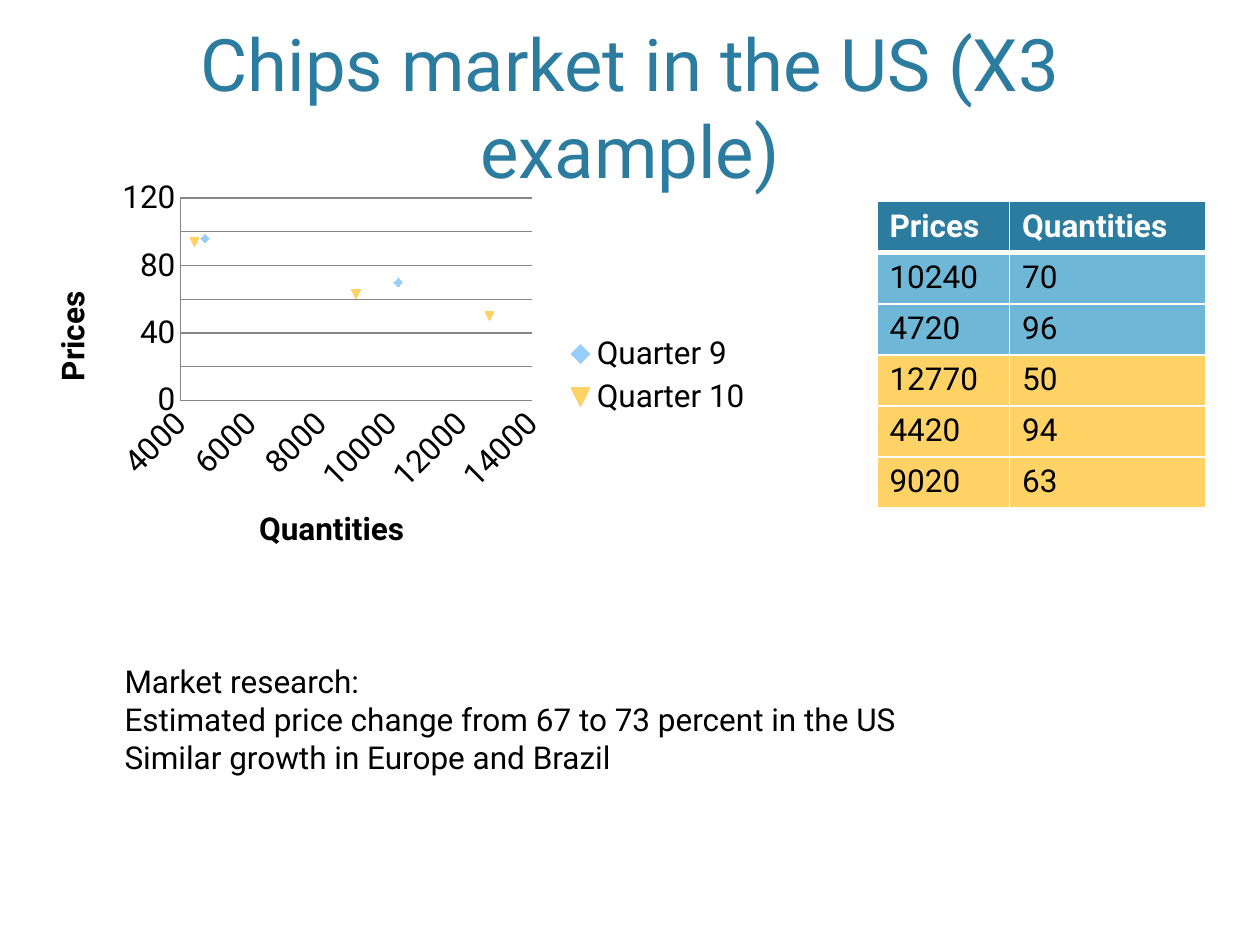
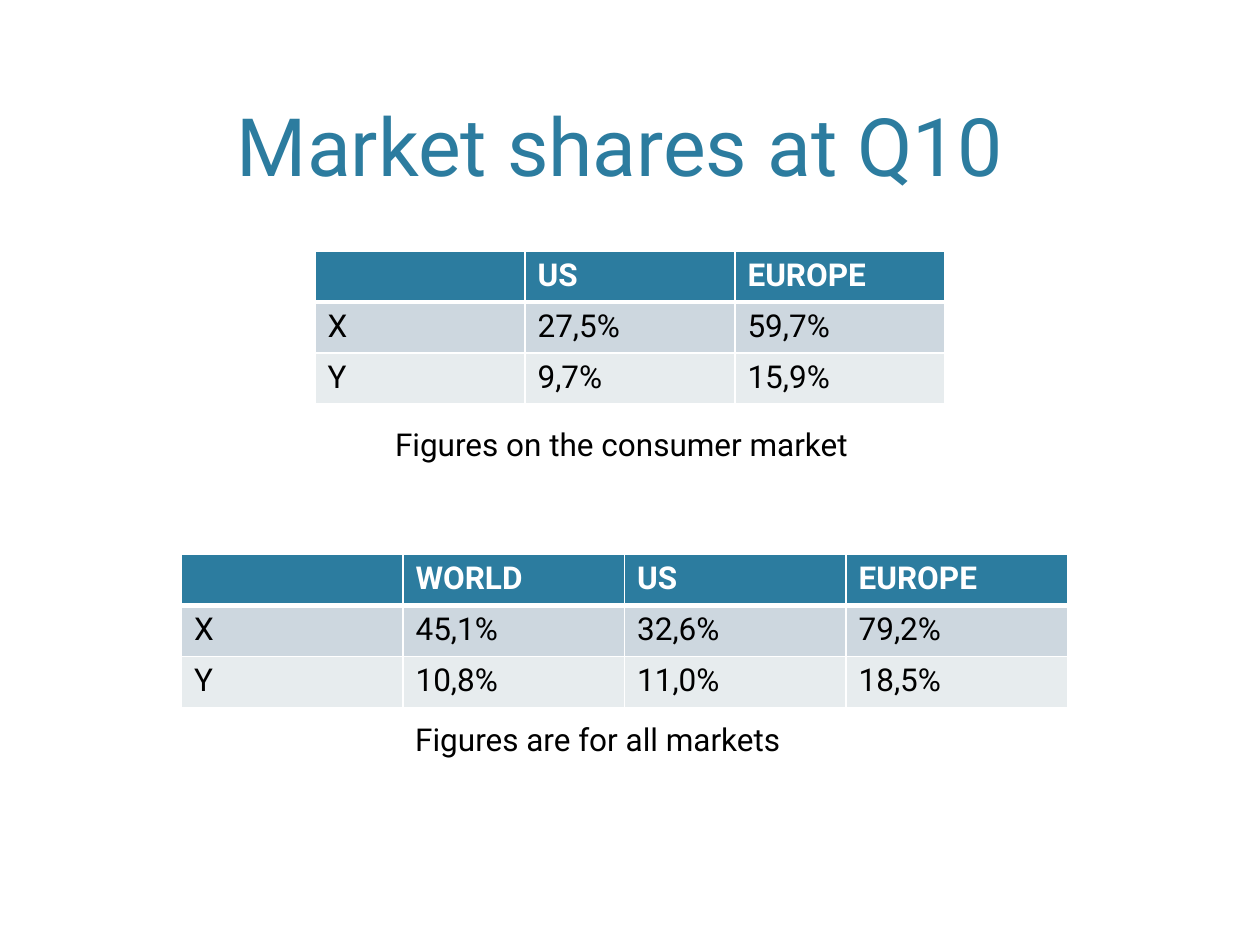
from dataclasses import dataclass

from lxml.etree import SubElement
from pptx import Presentation
from pptx.chart.data import XyChartData
from pptx.dml.color import RGBColor
from pptx.enum.chart import XL_CHART_TYPE, XL_LEGEND_POSITION, XL_MARKER_STYLE, XL_TICK_MARK
from pptx.enum.text import MSO_ANCHOR, MSO_AUTO_SIZE, PP_ALIGN
from pptx.oxml import parse_xml
from pptx.oxml.ns import nsdecls, qn
from pptx.util import Pt


@dataclass(frozen=True)
class Theme:
    font: str = "Roboto"
    accent: str = "2C7C9F"
    sky: str = "6FB7D7"
    marker_blue: str = "99CCFF"
    yellow: str = "FFD266"
    band_dark: str = "CDD7DF"
    band_light: str = "E7ECEE"
    ink: str = "000000"
    white: str = "FFFFFF"
    grid: str = "868686"
    body_size: float = 18
    title_size: float = 46
    long_title_size: float = 41.4


@dataclass(frozen=True)
class Box:
    left: float
    top: float
    width: float
    height: float

    def lengths(self):
        return Pt(self.left), Pt(self.top), Pt(self.width), Pt(self.height)


THEME = Theme()
TITLE_BOX = Box(43.2, 8.64, 633.6, 105.12)
ROW_HEIGHT = 29.2


def style_font(font, size=THEME.body_size, color=THEME.ink, bold=False):
    font.name = THEME.font
    font.size = Pt(size)
    font.bold = bold
    font.color.rgb = RGBColor.from_string(color)


def style_runs(text_frame, **style):
    for paragraph in text_frame.paragraphs:
        for span in paragraph.runs:
            style_font(span.font, **style)


def style_line(line):
    line.color.rgb = RGBColor.from_string(THEME.grid)
    line.width = Pt(0.75)


def add_page(deck, title, size):
    page = deck.slides.add_slide(deck.slide_layouts[5])
    heading = page.shapes.title
    heading.left, heading.top, heading.width, heading.height = TITLE_BOX.lengths()
    frame = heading.text_frame
    frame.text = title
    frame.auto_size = MSO_AUTO_SIZE.NONE
    frame.vertical_anchor = MSO_ANCHOR.BOTTOM
    frame.paragraphs[0].alignment = PP_ALIGN.CENTER
    style_runs(frame, size=size, color=THEME.accent)
    return page


def add_note(page, box, text):
    frame = page.shapes.add_textbox(*box.lengths()).text_frame
    frame.word_wrap = True
    frame.text = text
    style_runs(frame)


def set_borders(cell, bottom):
    properties = cell._tc.get_or_add_tcPr()
    for index, (side, width) in enumerate((("L", 1), ("R", 1), ("T", 1), ("B", bottom))):
        line = parse_xml(
            f'<a:ln{side} {nsdecls("a")} w="{Pt(width)}"><a:solidFill>'
            f'<a:srgbClr val="{THEME.white}"/></a:solidFill></a:ln{side}>'
        )
        properties.insert(index, line)


def add_grid(page, box, rows, fills, column_widths):
    table = page.shapes.add_table(len(rows), len(column_widths), *box.lengths()).table
    for column, width in zip(table.columns, column_widths):
        column.width = Pt(width)
    for row_index, (row, fill) in enumerate(zip(rows, [THEME.accent, *fills])):
        header = row_index == 0
        table.rows[row_index].height = Pt(ROW_HEIGHT)
        for column_index, text in enumerate(row):
            cell = table.cell(row_index, column_index)
            cell.text = text
            cell.fill.solid()
            cell.fill.fore_color.rgb = RGBColor.from_string(fill)
            style_runs(cell.text_frame, color=THEME.white if header else THEME.ink, bold=header)
            set_borders(cell, bottom=3 if header else 1)


def place_in_chart(element, index, **percents):
    layout = element.find(qn("c:layout"))
    if layout is None:
        layout = parse_xml(f'<c:layout {nsdecls("c")}/>')
        element.insert(index, layout)
    manual = SubElement(layout, qn("c:manualLayout"))
    settings = {"layoutTarget": "inner"} if "w" in percents else {}
    settings.update(xMode="edge", yMode="edge")
    settings.update({name: f"{percent / 100:.4f}" for name, percent in percents.items()})
    for name, value in settings.items():
        SubElement(manual, qn(f"c:{name}")).set("val", value)


def style_axis(axis, title, limits, unit, title_place):
    axis.minimum_scale, axis.maximum_scale = limits
    axis.major_unit = unit
    axis.major_tick_mark = axis.minor_tick_mark = XL_TICK_MARK.NONE
    style_line(axis.format.line)
    style_font(axis.tick_labels.font)
    frame = axis.axis_title.text_frame
    frame.text = title
    style_runs(frame, bold=True)
    place_in_chart(axis.axis_title._element, 1, **title_place)


def price_data():
    quantities = (10200, 4700, 12800, 4400, 9000)
    quarters = (
        ("Quarter 9", (70, 96, None, None, None)),
        ("Quarter 10 ", (None, None, 50, 94, 63)),
    )
    data = XyChartData()
    for name, prices in quarters:
        series = data.add_series(name)
        for quantity, price in zip(quantities, prices):
            series.add_data_point(quantity, price)
    return data


def drop_empty_points(series):
    for point in list(series._element.iter(qn("c:pt"))):
        if point.find(qn("c:v")).text in (None, "", "None"):
            point.getparent().remove(point)


def style_series(series, position, shape, color):
    for tag in ("c:idx", "c:order"):
        series._element.find(qn(tag)).set("val", str(position))
    series.smooth = False
    series.format.line.fill.background()
    marker = series.marker
    marker.style = shape
    marker.size = 5
    marker.format.fill.solid()
    marker.format.fill.fore_color.rgb = RGBColor.from_string(color)
    marker.format.line.fill.background()


def add_price_chart(page, box):
    chart = page.shapes.add_chart(XL_CHART_TYPE.XY_SCATTER, *box.lengths(), price_data()).chart
    chart.has_title = False
    style_font(chart.font)
    plot = chart.plots[0]
    plot.vary_by_categories = False

    markers = (
        (XL_MARKER_STYLE.DIAMOND, THEME.marker_blue),
        (XL_MARKER_STYLE.AUTOMATIC, THEME.yellow),
    )
    for position, (series, (shape, color)) in enumerate(zip(plot.series, markers), 1):
        drop_empty_points(series)
        style_series(series, position, shape, color)

    quantities, prices = chart.category_axis, chart.value_axis
    style_axis(quantities, "Quantities", (4000, 14000), 2000, {"x": 30.6, "y": 81.3})
    style_axis(prices, "Prices", (0, 120), 20, {"x": 2.95, "y": 28.1})
    quantities.has_major_gridlines = False
    quantities._element.find(qn("c:txPr")).find(qn("a:bodyPr")).set("rot", "-2700000")
    prices.axis_title.text_frame._txBody.find(qn("a:bodyPr")).set("rot", "-5400000")
    style_line(prices.major_gridlines.format.line)

    chart.has_legend = True
    chart.legend.position = XL_LEGEND_POSITION.RIGHT
    chart.legend.include_in_layout = False
    style_font(chart.legend.font)
    place_in_chart(chart.legend._element, 1, x=71.6, y=38.75)
    plot_area = chart._chartSpace.find(qn("c:chart")).find(qn("c:plotArea"))
    place_in_chart(plot_area, 0, x=20.87, y=6.6, w=46.88, h=49.7)


def build_chips_page(deck):
    page = add_page(deck, "Chips market in the US (X3 example)", THEME.long_title_size)
    add_price_chart(page, Box(13.68, 97.92, 428.4, 232.56))
    rows = (
        ("Prices", "Quantities"),
        ("10240", "70"),
        ("4720", "96"),
        ("12770", "50"),
        ("4420", "94"),
        ("9020", "63"),
    )
    fills = [THEME.sky] * 2 + [THEME.yellow] * 3
    add_grid(page, Box(501.12, 115.2, 187.9, len(rows) * ROW_HEIGHT), rows, fills, (75.8, 112.1))
    add_note(
        page,
        Box(64.08, 374.7, 509.04, 94.32),
        "Market research:\n"
        "Estimated price change from 67 to 73 percent in the US\n"
        "Similar growth in Europe and Brazil",
    )


def add_share_table(page, box, rows, caption, caption_box):
    widths = [box.width / len(rows[0])] * len(rows[0])
    add_grid(page, box, rows, (THEME.band_dark, THEME.band_light), widths)
    add_note(page, caption_box, caption)


def build_shares_page(deck):
    page = add_page(deck, "Market shares at Q10 ", THEME.title_size)
    all_markets = (
        ("", "WORLD", "US", "EUROPE"),
        ("X", "45,1%", "32,6%", "79,2%"),
        ("Y", "10,8%", "11,0%", "18,5%"),
    )
    consumer_market = (
        ("", "US", "EUROPE"),
        ("X", "27,5%", "59,7%"),
        ("Y", "9,7%", "15,9%"),
    )
    table_height = 3 * ROW_HEIGHT
    add_share_table(
        page, Box(103.68, 316.7, 506.4, table_height), all_markets,
        "Figures are for all markets", Box(230.2, 407.9, 276.48, 28.8),
    )
    add_share_table(
        page, Box(180, 143.28, 360, table_height), consumer_market,
        "Figures on the consumer market", Box(218.7, 239.4, 276.48, 28.8),
    )


def main():
    deck = Presentation()
    deck.slide_width, deck.slide_height = Pt(720), Pt(540)
    build_chips_page(deck)
    build_shares_page(deck)
    deck.save("out.pptx")


if __name__ == "__main__":
    main()
